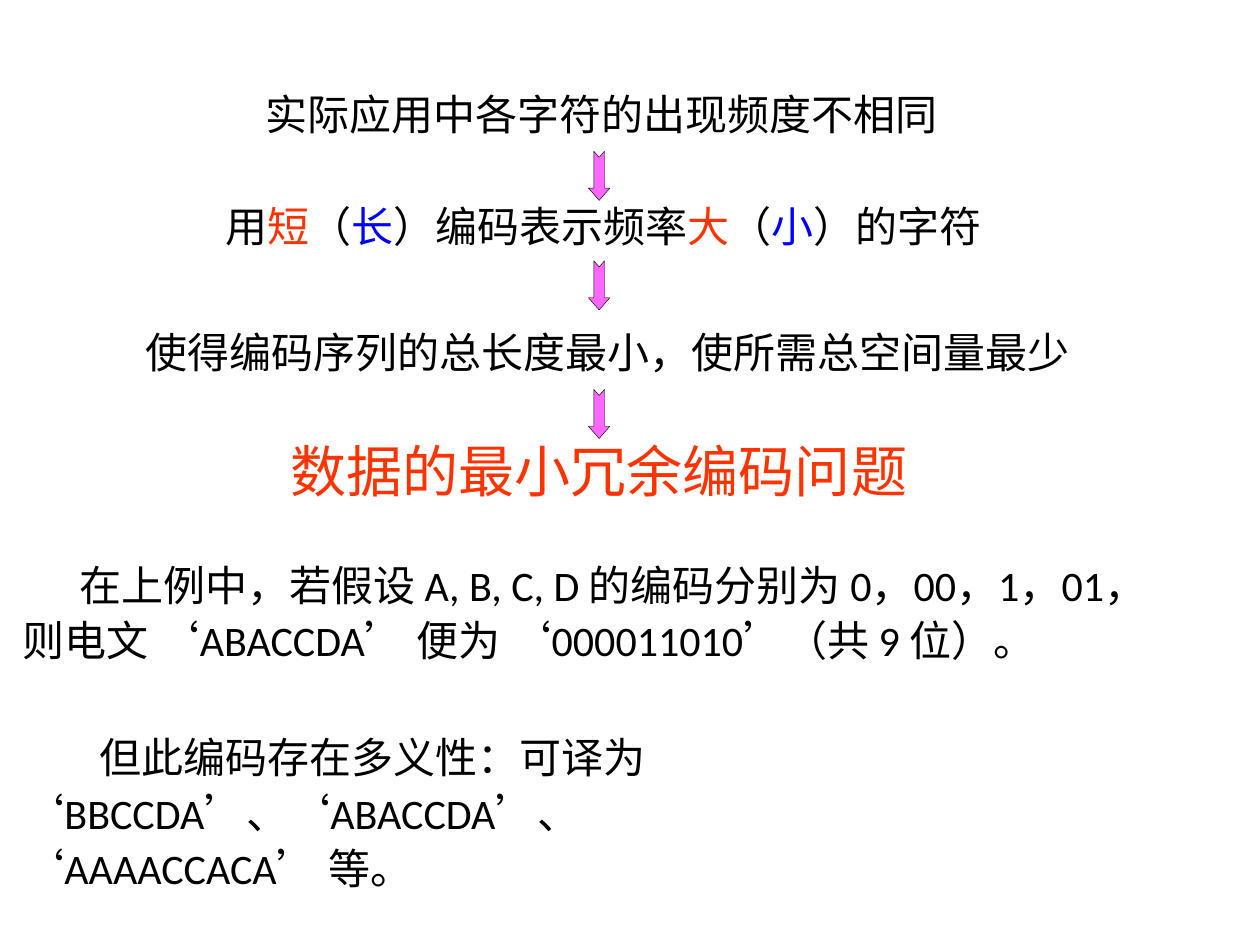
import pptx
import pptx.util
import pptx.dml.color
import pptx.enum.lang
import pptx.enum.shapes
import pptx.enum.text
import lxml.etree

Inches = pptx.util.Inches
Pt = pptx.util.Pt
CJK_FONT = "Noto Sans CJK SC"
BLACK, RED, BLUE, PINK = "000000", "FF3300", "0000FF", "FF66FF"


def color(value):
    return pptx.dml.color.RGBColor.from_string(value)


def add_text(box, paragraphs, size, font, spacing, wrap):
    left, top, width, height = box
    shape = slide.shapes.add_textbox(Inches(left), Inches(top), Inches(width), Inches(height))
    frame = shape.text_frame
    frame.word_wrap = wrap
    frame.auto_size = pptx.enum.text.MSO_AUTO_SIZE.SHAPE_TO_FIT_TEXT
    for index, pieces in enumerate(paragraphs):
        paragraph = frame.paragraphs[0] if index == 0 else frame.add_paragraph()
        paragraph.line_spacing = spacing
        for words, tint in pieces:
            run = paragraph.add_run()
            run.text = words
            run.font.size = Pt(size)
            run.font.name = font
            run.font.color.rgb = color(tint)
            run.font.language_id = pptx.enum.lang.MSO_LANGUAGE_ID.SIMPLIFIED_CHINESE
            east_asian = lxml.etree.SubElement(run.font._element, pptx.oxml.ns.qn("a:ea"))
            east_asian.set("typeface", CJK_FONT)
    return frame


presentation = pptx.Presentation()
presentation.slide_width = Inches(10)
presentation.slide_height = Inches(7.5)
slide = presentation.slides.add_slide(presentation.slide_layouts[6])

coding_rule = [
    ("用", BLACK), ("短", RED), ("（", BLACK), ("长", BLUE), ("）编码表示频率", BLACK),
    ("大", RED), ("（", BLACK), ("小", BLUE), ("）的字符", BLACK),
]
reasoning_steps = [
    ((2.01, 0.73, 5.66, 0.43), [("实际应用中各字符的出现频度不相同", BLACK)], 24, "Calibri", 0.8),
    ((1.69, 1.59, 6.32, 0.46), coding_rule, 24, "Calibri", 0.9),
    ((1.06, 2.54, 7.62, 0.5), [("使得编码序列的总长度最小，使所需总空间量最少", BLACK)], 24, "Calibri", 1.0),
    ((2.21, 3.56, 5.23, 0.47), [("数据的最小冗余编码问题", RED)], 32, CJK_FONT, 0.7),
]
for box, pieces, size, font, spacing in reasoning_steps:
    add_text(box, [pieces], size, font, spacing, False)

for arrow_top in (1.31, 2.18, 3.2):
    arrow = slide.shapes.add_shape(
        pptx.enum.shapes.MSO_SHAPE.NOTCHED_RIGHT_ARROW,
        Inches(4.56), Inches(arrow_top), Inches(0.39), Inches(0.17))
    arrow.rotation = 90
    arrow.adjustments[0] = 0.5
    arrow.adjustments[1] = 0.57
    arrow.shadow.inherit = False
    arrow.fill.solid()
    arrow.fill.fore_color.rgb = color(PINK)
    arrow.line.color.rgb = color(BLACK)
    arrow.line.width = Pt(0.25)

examples = [
    ((0.08, 4.35, 9.28, 0.96), 0.45, [
        "在上例中，若假设 A, B, C, D 的编码分别为 0，00，1，01，",
        "则电文 ‘ABACCDA’ 便为 ‘000011010’（共 9 位）。"]),
    ((0.08, 5.72, 9.26, 0.96), 0.61, [
        "但此编码存在多义性：可译为 ‘BBCCDA’、‘ABACCDA’、",
        "‘AAAACCACA’ 等。"]),
]
for box, indent, lines in examples:
    frame = add_text(box, [[(line, BLACK)] for line in lines], 24, "Calibri", 1.1, True)
    opening = frame.paragraphs[0]._p.get_or_add_pPr()
    opening.set("indent", str(Inches(indent)))

presentation.save("out.pptx")
